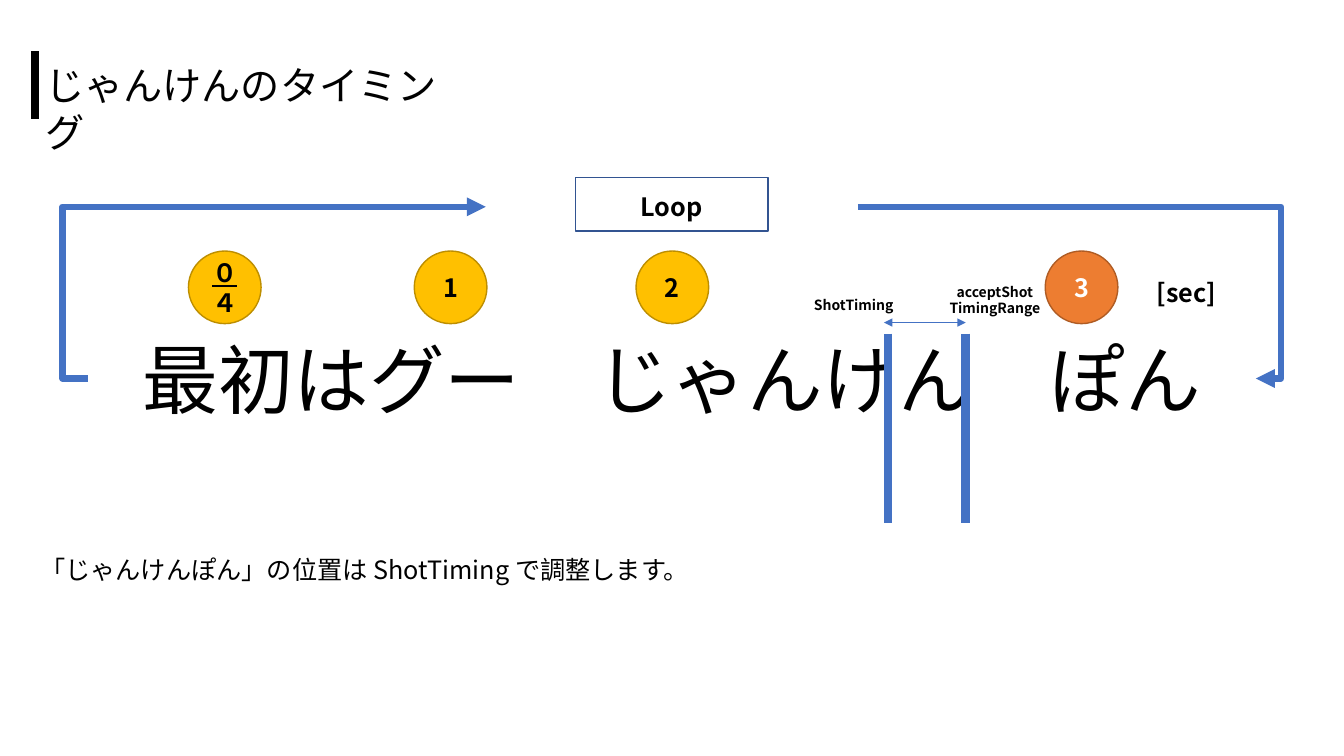
from lxml import etree
from pptx import Presentation
from pptx.dml.color import RGBColor
from pptx.enum.shapes import MSO_CONNECTOR, MSO_SHAPE
from pptx.enum.text import MSO_ANCHOR, MSO_AUTO_SIZE, PP_ALIGN
from pptx.oxml.ns import qn
from pptx.util import Pt

STRAIGHT, ELBOW = MSO_CONNECTOR.STRAIGHT, MSO_CONNECTOR.ELBOW
RECTANGLE, OVAL = MSO_SHAPE.RECTANGLE, MSO_SHAPE.OVAL
LEFT, CENTER = PP_ALIGN.LEFT, PP_ALIGN.CENTER
MIDDLE, GROW = MSO_ANCHOR.MIDDLE, MSO_AUTO_SIZE.SHAPE_TO_FIT_TEXT
LEFT_SIDE, RIGHT_SIDE = 1, 3

FONT = "Noto Sans CJK JP"
COLORS = {
    "black": "000000",
    "white": "FFFFFF",
    "blue": "4472C4",
    "dark blue": "325491",
    "gold": "FFC000",
    "dark gold": "BD8E00",
    "orange": "ED7D31",
    "dark orange": "AF5C24",
}


def rgb(name):
    return RGBColor.from_string(COLORS[name])


def write(shape, lines, size, color="black", bold=False, align=CENTER, underlined=()):
    """Write one paragraph per line; underlined holds line indexes."""
    frame = shape.text_frame
    frame.word_wrap = True
    for index, line in enumerate(lines):
        paragraph = frame.paragraphs[0] if index == 0 else frame.add_paragraph()
        paragraph.alignment = align
        run = paragraph.add_run()
        run.text = line
        formats = {"name": FONT, "size": Pt(size), "bold": bold,
                   "underline": index in underlined}
        for attribute, value in formats.items():
            setattr(run.font, attribute, value)
        run.font.color.rgb = rgb(color)
        # East Asian characters need their own typeface entry
        latin = run.font._element.find(qn("a:latin"))
        east_asian = etree.Element(qn("a:ea"), typeface=FONT)
        latin.addnext(east_asian)


def add_text(slide, box, lines, size, **formats):
    shape = slide.shapes.add_textbox(*map(Pt, box))
    write(shape, lines, size, **formats)
    shape.text_frame.auto_size = GROW
    return shape


def add_filled(slide, kind, box, fill, outline):
    shape = slide.shapes.add_shape(kind, *map(Pt, box))
    shape.shadow.inherit = False
    shape.fill.solid()
    shape.fill.fore_color.rgb = rgb(fill)
    shape.line.color.rgb = rgb(outline)
    shape.line.width = Pt(1)
    return shape


def add_second(slide, left, lines, fill="gold", outline="dark gold", color="black",
               underlined=()):
    circle = add_filled(slide, OVAL, (left, 179.3, 51.9, 51.9), fill, outline)
    circle.text_frame.vertical_anchor = MIDDLE
    write(circle, lines, 18, color=color, bold=True, underlined=underlined)


def add_line(slide, points, width, color="blue", kind=STRAIGHT, arrows=()):
    line = slide.shapes.add_connector(kind, *map(Pt, points))
    line.line.color.rgb = rgb(color)
    line.line.width = Pt(width)
    outline = line.line._ln
    for end in arrows:
        etree.SubElement(outline, qn(f"a:{end}"), type="triangle")
    etree.SubElement(line._element.spPr, qn("a:effectLst"))
    return line


def add_loop_arrow(slide, start, end, side, points, bend):
    """Join two text boxes on the same side; bend is in 1/100000 of the width."""
    arrow = add_line(slide, points, 4.5, kind=ELBOW, arrows=("tailEnd",))
    arrow.begin_connect(start, side)
    arrow.end_connect(end, side)
    geometry = arrow._element.spPr.find(qn("a:prstGeom"))
    guides = geometry.find(qn("a:avLst"))
    if guides is None:
        guides = etree.SubElement(geometry, qn("a:avLst"))
    etree.SubElement(guides, qn("a:gd"), name="adj1", fmla=f"val {bend}")


def main():
    presentation = Presentation()
    presentation.slide_width, presentation.slide_height = Pt(960), Pt(540)
    slide = presentation.slides.add_slide(presentation.slide_layouts[6])

    # Chant and the seconds above it
    add_filled(slide, RECTANGLE, (411.1, 126.7, 137.5, 38.2), "white", "dark blue")
    chant = add_text(slide, (62.6, 234, 834.5, 72.7), ["最初はグー　じゃんけん　ぽん"], 54)
    add_second(slide, 134.6, ["０", "４"], underlined=(0,))
    add_second(slide, 295.9, ["1"])
    add_second(slide, 454.3, ["2"])
    add_second(slide, 746.6, ["3"], "orange", "dark orange", "white")

    # Loop arrows
    loop = add_text(slide, (347, 133.2, 265.7, 29.1), ["Loop"], 18, bold=True)
    add_loop_arrow(slide, loop, chant, RIGHT_SIDE, (612.7, 147.6, 897.1, 270), 106300)
    add_loop_arrow(slide, chant, loop, LEFT_SIDE, (62.6, 270, 347, 147.6), -6300)

    # Title and unit
    add_line(slide, (25.2, 36.7, 25.2, 85), 6, color="black")
    add_text(slide, (25.2, 40.3, 306, 41.2), ["じゃんけんのタイミング"], 28, align=LEFT)
    add_text(slide, (811.4, 194.4, 72, 29.1), ["[sec]"], 18, bold=True)

    # Accepted range of the shot
    for x in (634.3, 689.8):
        add_line(slide, (x, 238.3, x, 373.7), 6)
    add_line(slide, (631.4, 230.4, 689.8, 230.4), 0.5, arrows=("headEnd", "tailEnd"))
    add_text(slide, (573.8, 208.1, 72, 19.4), ["ShotTiming"], 10, bold=True)
    add_text(slide, (668.9, 198.7, 83.5, 31.5), ["acceptShot", "TimingRange"], 10, bold=True)

    # Explanation
    add_text(slide, (21.6, 392.4, 515.5, 29.1),
             ["「じゃんけんぽん」の位置は ShotTiming で調整します。"], 18, align=LEFT)

    presentation.save("out.pptx")


if __name__ == "__main__":
    main()
